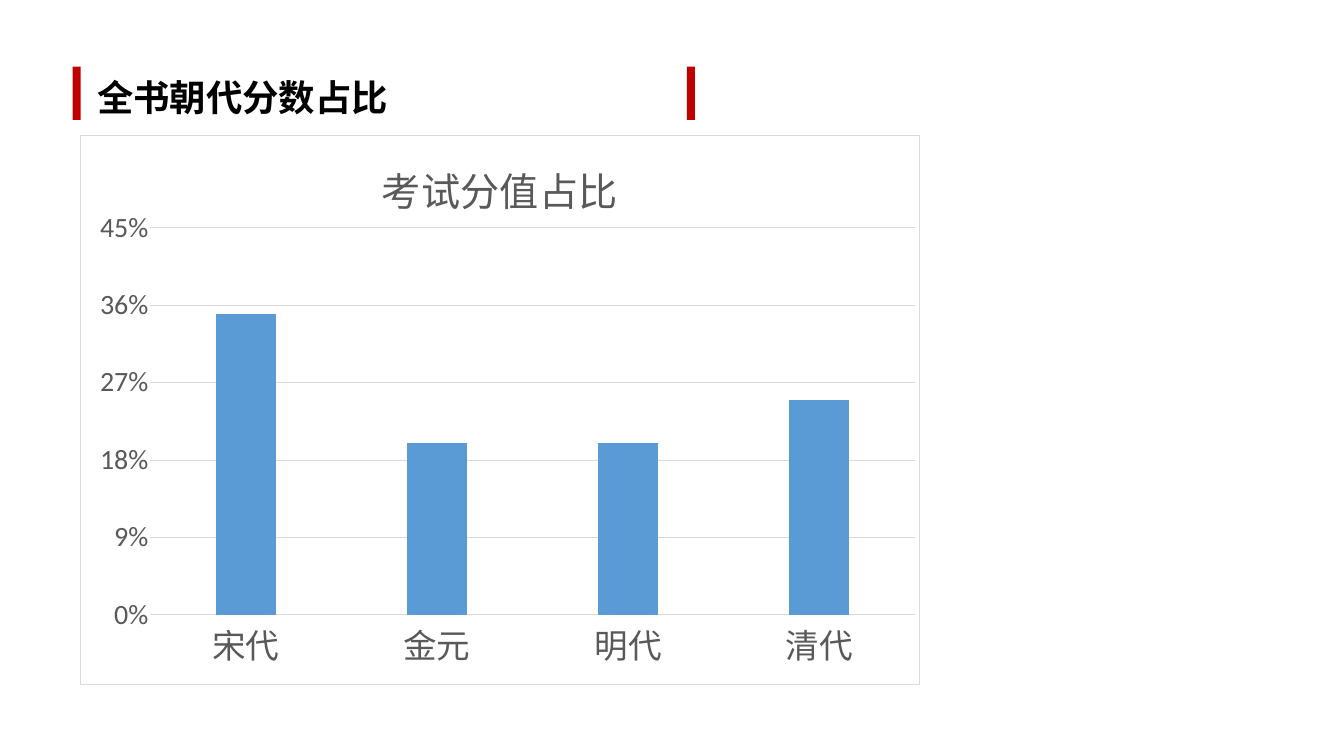
from lxml.etree import SubElement
from pptx import Presentation
from pptx.chart.data import CategoryChartData
from pptx.dml.color import RGBColor
from pptx.enum.chart import XL_CHART_TYPE as ChartType, XL_TICK_LABEL_POSITION as LabelPosition
from pptx.enum.chart import XL_TICK_MARK as TickMark
from pptx.enum.shapes import MSO_SHAPE as Preset
from pptx.enum.text import MSO_ANCHOR as Anchor
from pptx.oxml import parse_xml
from pptx.oxml.ns import nsdecls, qn
from pptx.util import Inches, Pt

COLOURS = {"accent": "C00000", "ink": "000000", "label": "595959",
           "rule": "D9D9D9", "column": "5B9BD5", "paper": "FFFFFF"}
CHINESE = "Noto Sans CJK SC"
LATIN = "Calibri"


class SlideBuilder:
    """Holds the style and the current slide, and draws each kind of element."""

    def __init__(self, page):
        self.page = page

    def colour(self, name):
        return RGBColor.from_string(COLOURS[name])

    def style_font(self, font, size, colour, face, bold=False):
        font.size = Pt(size)
        font.bold = bold
        font.color.rgb = self.colour(colour)
        font.name = face
        latin = font._element.find(qn("a:latin"))
        latin.addnext(parse_xml(f'<a:ea {nsdecls("a")} typeface="{face}"/>'))

    def style_line(self, line):
        line.color.rgb = self.colour("rule")
        line.width = Pt(1)

    def bar(self, left, top, width, height):
        box = self.page.shapes.add_shape(
            Preset.RECTANGLE, Inches(left), Inches(top), Inches(width), Inches(height))
        box.shadow.inherit = False
        box.fill.solid()
        box.fill.fore_color.rgb = self.colour("accent")
        box.line.fill.background()

    def heading(self, text, left, top, width, height):
        box = self.page.shapes.add_textbox(
            Inches(left), Inches(top), Inches(width), Inches(height))
        frame = box.text_frame
        frame.word_wrap = True
        frame.vertical_anchor = Anchor.BOTTOM
        frame.margin_left = frame.margin_right = Inches(0.1)
        frame.margin_top = frame.margin_bottom = Inches(0.1)
        frame.text = text
        para = frame.paragraphs[0]
        para.line_spacing = 0.9
        self.style_font(para.runs[0].font, 52, "ink", CHINESE, bold=True)

    def column_chart(self, title, shares, left, top, width, height):
        data = CategoryChartData(number_format="0%")
        data.categories = list(shares)
        data.add_series(title, list(shares.values()))
        chart = self.page.shapes.add_chart(
            ChartType.COLUMN_CLUSTERED, Inches(left), Inches(top),
            Inches(width), Inches(height), data).chart
        chart.has_legend = False
        chart.font.size = Pt(10)
        chart.font.name = "Arial"
        self.chart_title(chart, title)
        self.chart_axes(chart)
        plot = chart.plots[0]
        plot.gap_width = 219
        plot.overlap = -27
        plot.vary_by_categories = False
        fill = plot.series[0].format.fill
        fill.solid()
        fill.fore_color.rgb = self.colour("column")
        self.chart_frame(chart)
        self.plot_layout(chart, x=0.083, y=0.168, w=0.912, h=0.705)

    def chart_title(self, chart, text):
        chart.has_title = True
        title = chart.chart_title
        title.text_frame.text = text
        span = title.text_frame.paragraphs[0].runs[0]
        self.style_font(span.font, 56, "label", CHINESE)
        title._element.find(qn("c:overlay")).set("val", "1")

    def chart_axes(self, chart):
        categories, values = chart.category_axis, chart.value_axis
        for axis, size, face in ((categories, 48, CHINESE), (values, 40, LATIN)):
            axis.major_tick_mark = axis.minor_tick_mark = TickMark.NONE
            self.style_font(axis.tick_labels.font, size, "label", face)
        categories.tick_label_position = LabelPosition.LOW
        self.style_line(categories.format.line)
        values.minimum_scale, values.maximum_scale, values.major_unit = 0, 0.45, 0.09
        values.tick_labels.number_format = "0%"
        values.tick_labels.number_format_is_linked = False
        values.format.line.fill.background()
        self.style_line(values.major_gridlines.format.line)

    def chart_frame(self, chart):
        solid = '<a:solidFill><a:srgbClr val="{}"/></a:solidFill>'
        frame = parse_xml(
            f'<c:spPr {nsdecls("c", "a")}>{solid.format(COLOURS["paper"])}'
            f'<a:ln w="{Pt(1)}">{solid.format(COLOURS["rule"])}</a:ln></c:spPr>')
        chart._chartSpace.find(qn("c:chart")).addnext(frame)

    def plot_layout(self, chart, **bounds):
        area = chart._chartSpace.find(qn("c:chart")).find(qn("c:plotArea"))
        for empty in area.findall(qn("c:layout")):
            area.remove(empty)
        layout = parse_xml(f'<c:layout {nsdecls("c")}><c:manualLayout/></c:layout>')
        settings = {"layoutTarget": "inner", "xMode": "edge", "yMode": "edge", **bounds}
        for tag, value in settings.items():
            SubElement(layout[0], qn(f"c:{tag}")).set("val", str(value))
        area.insert(0, layout)


def main():
    deck = Presentation()
    deck.slide_width, deck.slide_height = Inches(26.67), Inches(15)
    builder = SlideBuilder(deck.slides.add_slide(deck.slide_layouts[6]))
    for left in (1.44, 13.63):
        builder.bar(left, 1.32, 0.16, 1.06)
    builder.heading("全书朝代分数占比", 1.83, 1.23, 11.4, 1.24)
    shares = {"宋代": 0.35, "金元": 0.2, "明代": 0.2, "清代": 0.25}
    builder.column_chart("考试分值占比", shares, 1.59, 2.68, 16.66, 10.91)
    deck.save("out.pptx")


if __name__ == "__main__":
    main()
